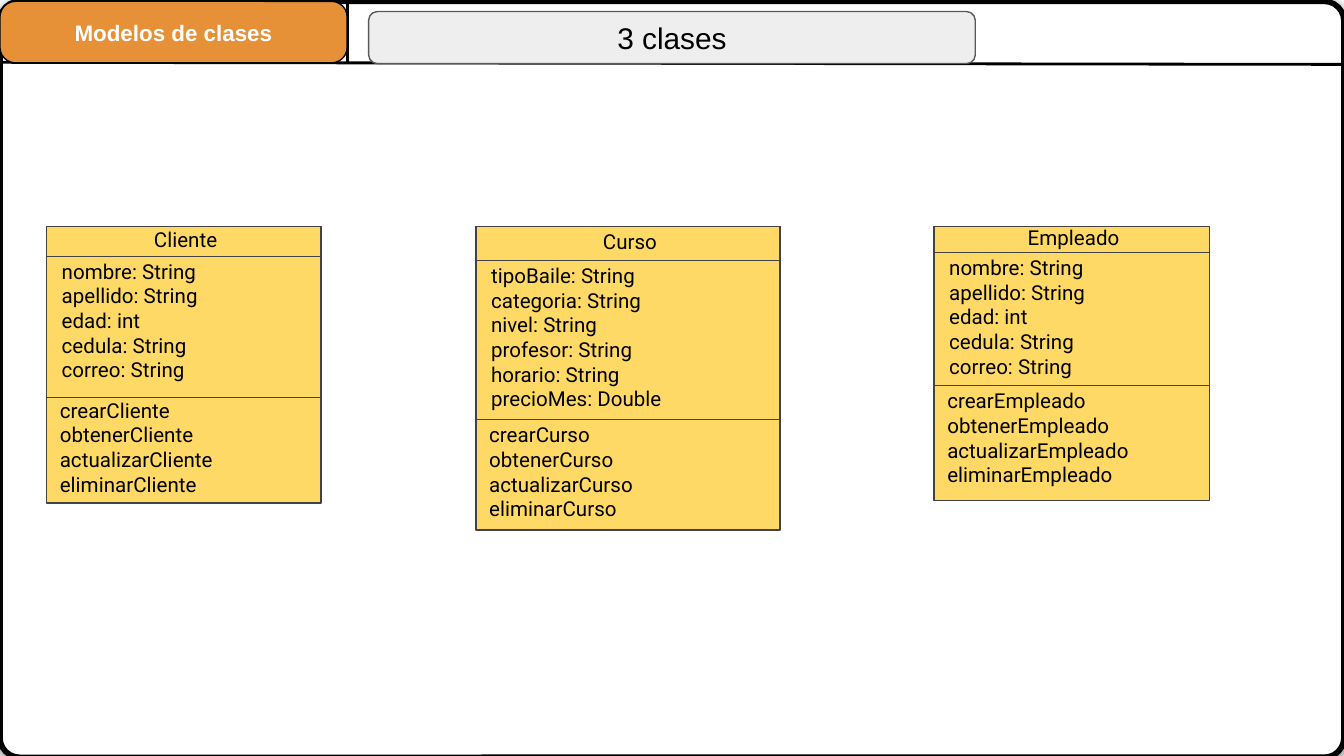
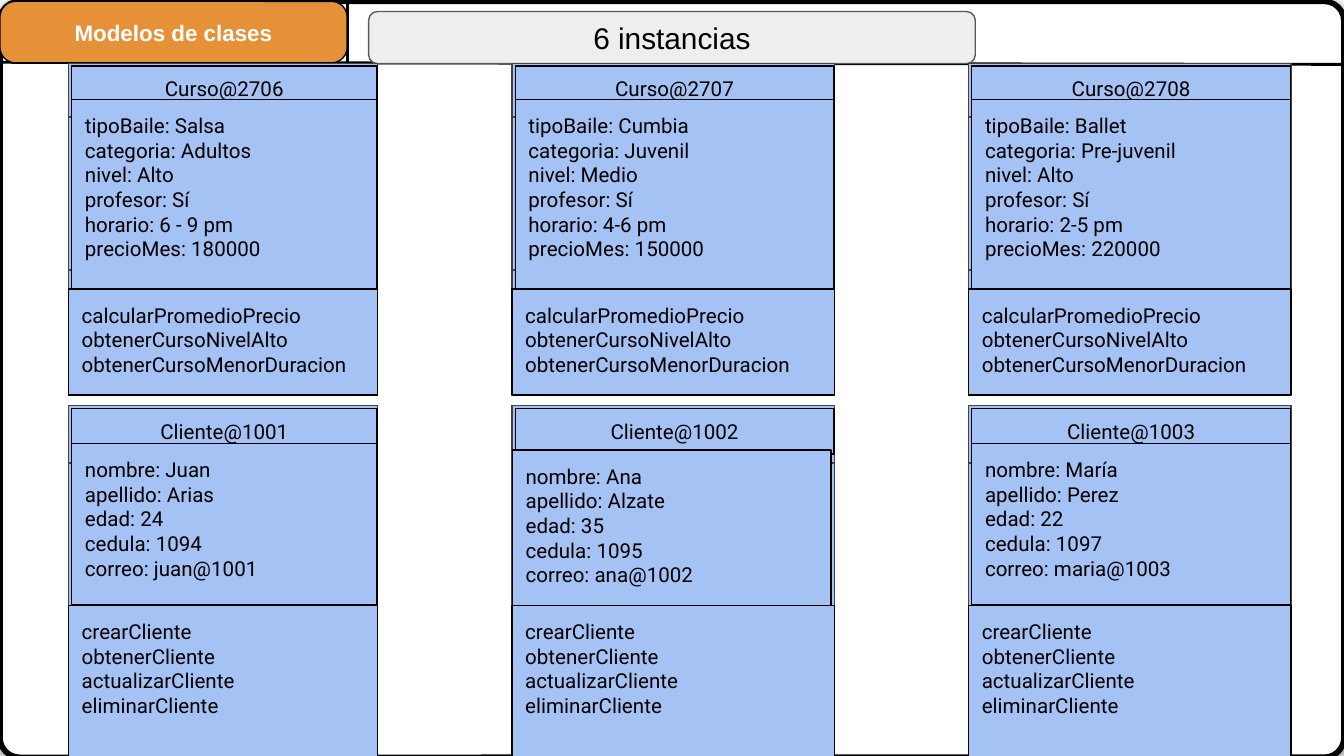
from dataclasses import dataclass

from lxml.etree import SubElement
from pptx import Presentation
from pptx.dml.color import RGBColor
from pptx.enum.shapes import MSO_CONNECTOR, MSO_SHAPE
from pptx.enum.text import MSO_ANCHOR, PP_ALIGN
from pptx.oxml.ns import qn
from pptx.util import Pt


@dataclass(frozen=True)
class Theme:
    white: str = "FFFFFF"
    black: str = "000000"
    orange: str = "E69138"
    light_gray: str = "EEEEEE"
    mid_gray: str = "595959"
    dark_gray: str = "434343"
    yellow: str = "FFD966"
    blue: str = "A4C2F4"
    head_font: str = "Arial"
    body_font: str = "Roboto"
    tab_size: float = 12
    title_size: float = 16
    body_size: float = 11
    inset: float = 7.2
    thin: float = 0.75
    medium: float = 1.5
    thick: float = 3


@dataclass(frozen=True)
class ClassCard:
    name: str
    fields: list
    left: float
    width: float
    height: float
    fields_top: float
    fields_height: float
    methods_top: float


@dataclass(frozen=True)
class InstanceRow:
    top: float
    height: float
    header: float
    band: float
    title_height: float
    fields_top: float
    fields_height: float
    methods_top: float
    methods: list
    instances: list


THEME = Theme()
SLIDE_W, SLIDE_H = 720, 405
CLASS_TOP = 121.5
COLUMNS = [(36.7, 165.6), (274.3, 172.8), (518.9, 172.8)]
PERSON_FIELDS = ["nombre: String", "apellido: String", "edad: int",
                 "cedula: String", "correo: String"]
COURSE_FIELDS = ["tipoBaile: String", "categoria: String", "nivel: String",
                 "profesor: String", "horario: String", "precioMes: Double"]


def crud(name):
    return [verb + name for verb in ("crear", "obtener", "actualizar", "eliminar")]


CLASSES = [
    ClassCard("Curso", COURSE_FIELDS, 255, 163, 162.5, 139.7, 85, 219),
    ClassCard("Empleado", PERSON_FIELDS, 500.4, 147.5, 146.6, 135.4, 71.3, 200.9),
    ClassCard("Cliente", PERSON_FIELDS, 25, 147, 148, 137.4, 75.6, 205.9),
]
COURSE_ROW = InstanceRow(
    33.9, 177.8, 28.8, 82, 23.8, 19.4, 109.4, 121,
    ["calcularPromedioPrecio", "obtenerCursoNivelAlto", "obtenerCursoMenorDuracion"],
    [("Curso@2706", ["Salsa", "Adultos", "Alto", "Sí", "6 - 9 pm", "180000"], (0, 0)),
     ("Curso@2707", ["Cumbia", "Juvenil", "Medio", "Sí", "4-6 pm", "150000"], (0, 0)),
     ("Curso@2708", ["Ballet", "Pre-juvenil", "Alto", "Sí", "2-5 pm", "220000"], (0, 0))])
CLIENT_ROW = InstanceRow(
    217.4, 188, 30.6, 76.3, 24.5, 20.2, 86.4, 107.1,
    crud("Cliente"),
    [("Cliente@1001", ["Juan", "Arias", "24", "1094", "juan@1001"], (0, 0)),
     ("Cliente@1002", ["Ana", "Alzate", "35", "1095", "ana@1002"], (-1.5, 3.6)),
     ("Cliente@1003", ["María", "Perez", "22", "1097", "maria@1003"], (0, 0))])


def rgb(color):
    return RGBColor.from_string(color)


def write_text(sp, lines, size=THEME.body_size, font=THEME.body_font, color=THEME.black,
               bold=False, centered=False, side_inset=THEME.inset):
    tf = sp.text_frame
    tf.word_wrap = True
    tf.margin_left = tf.margin_right = Pt(side_inset)
    tf.margin_top = tf.margin_bottom = Pt(THEME.inset)
    tf.vertical_anchor = MSO_ANCHOR.MIDDLE if centered else MSO_ANCHOR.TOP
    for i, line in enumerate(lines):
        p = tf.paragraphs[0] if i == 0 else tf.add_paragraph()
        p.alignment = PP_ALIGN.CENTER if centered else PP_ALIGN.LEFT
        r = p.add_run()
        r.text = line
        r.font.size = Pt(size)
        r.font.name = font
        r.font.bold = bold
        r.font.color.rgb = rgb(color)


def add_box(shapes, x, y, w, h, fill, line=THEME.dark_gray, weight=THEME.thin, radius=None):
    kind = MSO_SHAPE.RECTANGLE if radius is None else MSO_SHAPE.ROUNDED_RECTANGLE
    sp = shapes.add_shape(kind, Pt(x), Pt(y), Pt(w), Pt(h))
    if radius is not None:
        sp.adjustments[0] = radius
    sp.shadow.inherit = False
    sp.fill.solid()
    sp.fill.fore_color.rgb = rgb(fill)
    sp.line.color.rgb = rgb(line)
    sp.line.width = Pt(weight)
    return sp


def add_label(shapes, x, y, w, h, lines, **text_format):
    write_text(shapes.add_textbox(Pt(x), Pt(y), Pt(w), Pt(h)), lines, **text_format)


def add_line(shapes, x1, y1, x2, y2):
    cxn = shapes.add_connector(MSO_CONNECTOR.STRAIGHT, Pt(x1), Pt(y1), Pt(x2), Pt(y2))
    cxn.line.color.rgb = rgb(THEME.black)
    cxn.line.width = Pt(THEME.medium)
    SubElement(cxn._element.spPr, qn("a:effectLst"))


def add_drop_shadow(sp):
    effects = sp._element.spPr.find(qn("a:effectLst"))
    shadow = SubElement(effects, qn("a:outerShdw"), blurRad=str(Pt(4.5)),
                        dist=str(Pt(1.5)), dir="5400000", rotWithShape="0")
    color = SubElement(shadow, qn("a:srgbClr"), val=THEME.black)
    SubElement(color, qn("a:alpha"), val="50000")


def add_framed_slide(prs, title):
    s = prs.slides.add_slide(prs.slide_layouts[6])
    frame = add_box(s.shapes, 0, 0.75, SLIDE_W, SLIDE_H, THEME.white,
                    THEME.black, THEME.thick, radius=0.026)
    add_drop_shadow(frame)
    add_line(s.shapes, 0, 33.4, 718.5, 34.5)
    add_line(s.shapes, 186, 33.4, 186, 1.5)
    tab = add_box(s.shapes, 0, 0.75, 186, 33, THEME.orange, THEME.black, radius=0.255)
    write_text(tab, ["Modelos de clases"], size=THEME.tab_size, font=THEME.head_font,
               color=THEME.white, bold=True, centered=True, side_inset=0)
    header = add_box(s.shapes, 197.5, 6.2, 325, 27.9, THEME.light_gray,
                     THEME.mid_gray, radius=0.167)
    write_text(header, [title], size=THEME.title_size, font=THEME.head_font, centered=True)
    return s


def add_class_card(s, card):
    shapes = s.shapes.add_group_shape().shapes
    x, w = card.left, card.width
    header = card.fields_top - CLASS_TOP
    for y, h in ((CLASS_TOP, card.height), (CLASS_TOP, header * 1.62),
                 (card.fields_top, card.fields_height)):
        add_box(shapes, x, y, w, h, THEME.yellow)
    add_label(shapes, x + 1, CLASS_TOP - 2, w, header + 1.2, [card.name], centered=True)
    add_label(shapes, x, card.methods_top, w, CLASS_TOP + card.height - card.methods_top,
              crud(card.name))
    add_label(shapes, x + 1, card.fields_top - 6, w * 0.9, card.fields_height + 6, card.fields)


def add_instance_row(s, row, labels):
    for (x, w), (name, values, (dx, dy)) in zip(COLUMNS, row.instances):
        shapes = s.shapes.add_group_shape().shapes
        for y, h in ((0, row.height), (0, row.header), (row.header, row.band)):
            add_box(shapes, x, row.top + y, w, h, THEME.blue)
        fields = [f"{label}: {value}" for label, value in zip(labels, values)]
        inner_x, inner_w = x + 1.7, w - 2
        parts = [
            (inner_x, 1.4, inner_w, row.title_height, [name], True),
            (inner_x + dx, row.fields_top + dy, inner_w, row.fields_height, fields, False),
            (x, row.methods_top, w, row.height - row.methods_top, row.methods, False),
        ]
        for px, py, pw, ph, lines, centered in parts:
            sp = add_box(shapes, px, row.top + py, pw, ph, THEME.blue, THEME.black)
            write_text(sp, lines, centered=centered)


def field_names(fields):
    return [field.split(":")[0] for field in fields]


def main():
    prs = Presentation()
    prs.slide_width, prs.slide_height = Pt(SLIDE_W), Pt(SLIDE_H)

    s = add_framed_slide(prs, "3 clases")
    for card in CLASSES:
        add_class_card(s, card)

    s = add_framed_slide(prs, "6 instancias")
    add_instance_row(s, COURSE_ROW, field_names(COURSE_FIELDS))
    add_instance_row(s, CLIENT_ROW, field_names(PERSON_FIELDS))

    prs.save("out.pptx")


if __name__ == "__main__":
    main()
